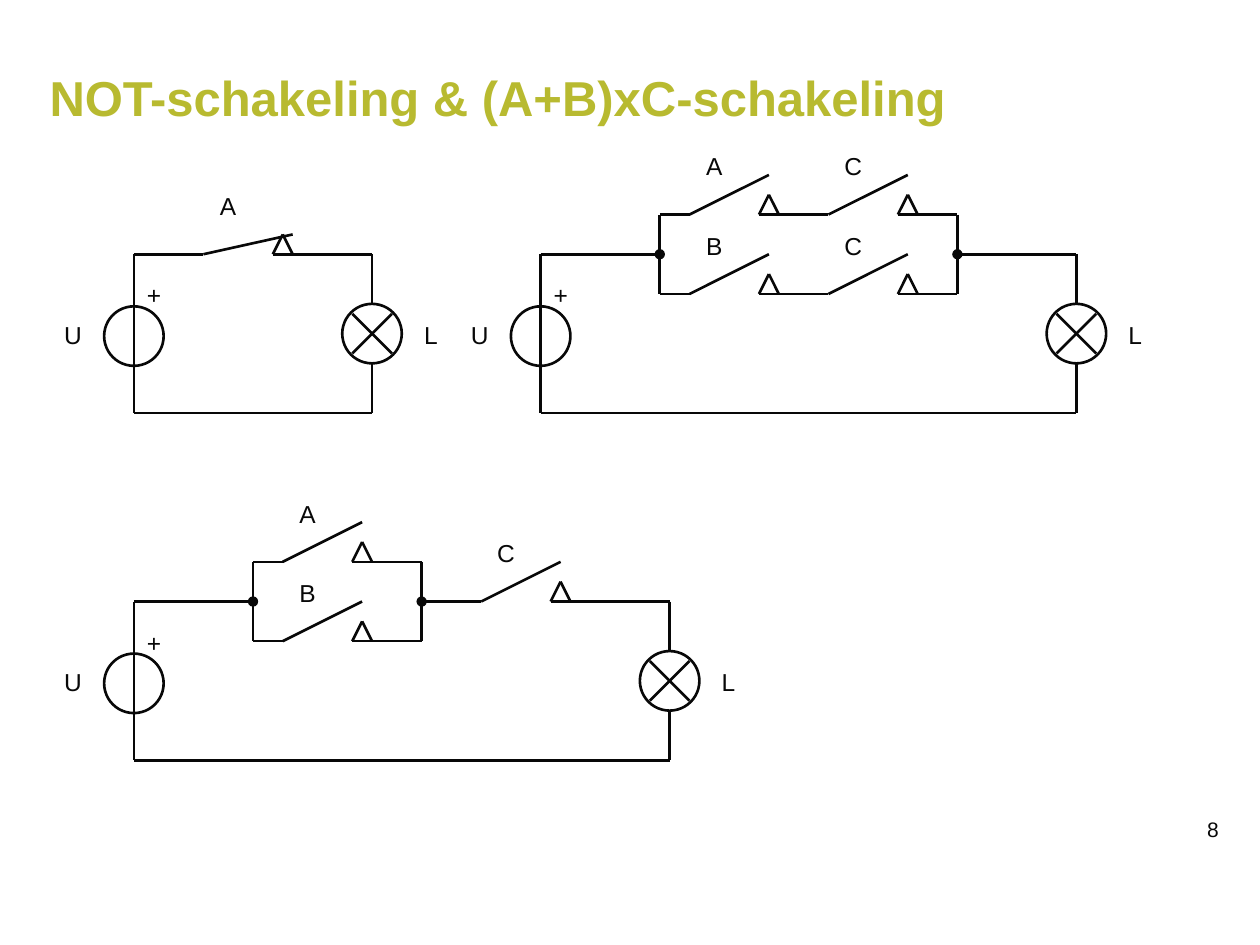
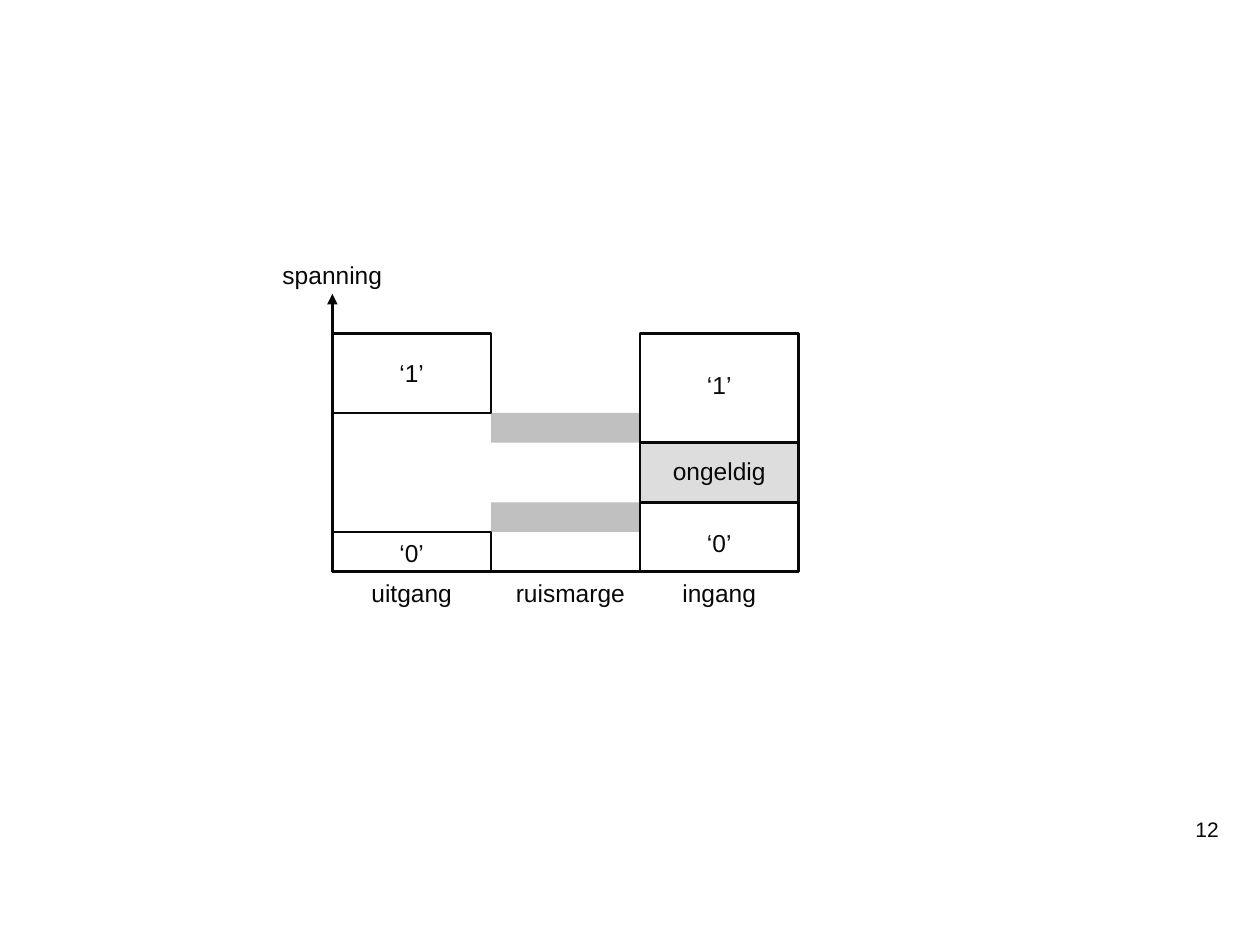
from lxml import etree
from pptx import Presentation
from pptx.dml.color import RGBColor
from pptx.enum.shapes import MSO_CONNECTOR, MSO_SHAPE
from pptx.enum.text import MSO_ANCHOR, PP_ALIGN
from pptx.oxml.ns import qn
from pptx.util import Inches, Pt

LINE = MSO_CONNECTOR.STRAIGHT
RECT, OVAL = MSO_SHAPE.RECTANGLE, MSO_SHAPE.OVAL
TOP, MID = MSO_ANCHOR.TOP, MSO_ANCHOR.MIDDLE
LEFT, CENTER, RIGHT = PP_ALIGN.LEFT, PP_ALIGN.CENTER, PP_ALIGN.RIGHT

WIDE, HIGH, COLS = 10, 7.5, 127
UNIT = WIDE / COLS
INK, LIME, GRAY, PALE = "080808", "B8BA30", "C0C0C0", "DDDDDD"
FONT, STROKE, TEXT_H = "Arial", 1.5, 4.3

TITLE = "NOT-schakeling & (A+B)xC-schakeling"
DEPTH = 16
FORK = [(12, -4, 12, 4), (12, -4, 15, -4), (12, 4, 15, 4)]

# switches: label, column, row, column where the wire after it ends, closed
CIRCUITS = [
    dict(at=(13.5, 25.63), width=24, wires=[(0, 0, 7, 0)], dots=[],
         switches=[("A", 7, 0, 24, True)]),
    dict(at=(13.5, 60.63), width=54, wires=FORK + [(29, -4, 29, 4)],
         dots=[(0, 12), (35, 29)],
         switches=[("A", 15, -4, 29, False), ("B", 15, 4, 29, False),
                   ("C", 35, 0, 54, False)]),
    dict(at=(54.5, 25.63), width=54, wires=FORK + [(42, -4, 42, 4)],
         dots=[(0, 12), (54, 42)],
         switches=[("A", 15, -4, 29, False), ("B", 15, 4, 29, False),
                   ("C", 29, -4, 42, False), ("C", 29, 4, 42, False)]),
]

LEVELS = (33.5, 33.63)
BASE = 24
OUT, GAP, IN, BAR = 0, 16, 31, 16
NOISE = [(8, 11), (17, 20)]
BANDS = [
    ("‘0’", OUT, 20, 24, 20, None),
    ("‘1’", OUT, 0, 8, 1.85, None),
    ("‘0’", IN, 17, 24, 19, None),
    ("‘1’", IN, 0, 11, 3, None),
    ("ongeldig", IN, 11, 17, 11.75, PALE),
]
NAMES = [("uitgang", OUT, BASE), ("ruismarge", GAP, BASE),
         ("ingang", IN, BASE), ("spanning", -8, -8)]


def color(code):
    return RGBColor.from_string(code)


def grid(*vals):
    return [Inches(val * UNIT) for val in vals]


def write(slide, text, x, y, w, h=TEXT_H, size=14, ink=INK, bold=False,
          align=CENTER, anchor=TOP, pad=(0.1, 0.05)):
    frame = slide.shapes.add_textbox(*grid(x, y, w, h)).text_frame
    frame.word_wrap = True
    frame.vertical_anchor = anchor
    frame.margin_left = frame.margin_right = Inches(pad[0])
    frame.margin_top = frame.margin_bottom = Inches(pad[1])
    para = frame.paragraphs[0]
    para.alignment = align
    run = para.add_run()
    run.text = text
    run.font.name, run.font.size, run.font.bold = FONT, Pt(size), bold
    run.font.color.rgb = color(ink)


def wire(shapes, x1, y1, x2, y2, end=None):
    link = shapes.add_connector(LINE, *grid(x1, y1, x2, y2))
    link.line.color.rgb = color(INK)
    link.line.width = Pt(STROKE)
    props = link.element.spPr
    if end:
        tip = etree.SubElement(props.find(qn("a:ln")), qn("a:tailEnd"))
        tip.set("type", end)
    etree.SubElement(props, qn("a:effectLst"))


def block(shapes, kind, x, y, w, h, fill=None, edge=INK):
    part = shapes.add_shape(kind, *grid(x, y, w, h))
    part.shadow.inherit = False
    if fill:
        part.fill.solid()
        part.fill.fore_color.rgb = color(fill)
    else:
        part.fill.background()
    if edge:
        part.line.color.rgb = color(edge)
        part.line.width = Pt(STROKE)
    else:
        part.line.fill.background()


def switch(slide, label, x, y, stop, closed):
    tip = (x + 9, y - 2) if closed else (x + 8, y - 4)
    wire(slide.shapes, x, y, *tip)
    for foot in (7, 9):
        wire(slide.shapes, x + foot, y, x + 8, y - 2)
    wire(slide.shapes, x + 7, y, stop, y)
    write(slide, label, x - 3, y - 7, 11)


def lamp(slide, x, y):
    parts = slide.shapes.add_group_shape().shapes
    block(parts, OVAL, x - 3, y - 3, 6, 6)
    for side in (-2, 2):
        wire(parts, x - side, y - 2, x + side, y + 2)
    write(slide, "L", x + 4, y - 2, 5, align=LEFT)


def circuit(slide, at, width, wires, dots, switches):
    x, y = at
    right, low = x + width, y + DEPTH
    for x1, y1, x2, y2 in wires:
        wire(slide.shapes, x + x1, y + y1, x + x2, y + y2)
    for start, dot in dots:
        wire(slide.shapes, x + start, y, x + dot, y, "oval")
    for label, col, row, stop, closed in switches:
        switch(slide, label, x + col, y + row, x + stop, closed)
    for line in [(x, y, x, low), (x, low, right, low),
                 (right, y, right, y + 5), (right, y + 11, right, low)]:
        wire(slide.shapes, *line)
    block(slide.shapes, OVAL, x - 3, y + 5.25, 6, 6)
    write(slide, "U", x - 9, y + 6, 5, align=RIGHT)
    write(slide, "+", x - 1, y + 2, 5, align=RIGHT)
    lamp(slide, right, y + 8)


def levels(slide):
    x, y = LEVELS
    for top, low in NOISE:
        block(slide.shapes, RECT, x + GAP, y + top, IN - GAP, low - top,
              fill=GRAY, edge=None)
    wire(slide.shapes, x, y + BASE, x, y - 4, "triangle")
    wire(slide.shapes, x, y + BASE, x + IN, y + BASE)
    for text, col, top, low, row, fill in BANDS:
        block(slide.shapes, RECT, x + col, y + top, BAR, low - top, fill=fill)
        write(slide, text, x + col, y + row, BAR)
    for text, col, row in NAMES:
        write(slide, text, x + col, y + row, BAR)


def page(deck, number):
    slide = deck.slides.add_slide(deck.slide_layouts[6])
    write(slide, str(number), 94.5, 81.7, 29.6, 6.6, size=12, align=RIGHT)
    return slide


def main():
    deck = Presentation()
    deck.slide_width, deck.slide_height = Inches(WIDE), Inches(HIGH)
    slide = page(deck, 8)
    write(slide, TITLE, 5, 5, 117, 9.5, size=28, ink=LIME, bold=True,
          align=LEFT, anchor=MID, pad=(0, 0))
    for plan in CIRCUITS:
        circuit(slide, **plan)
    levels(page(deck, 12))
    deck.save("out.pptx")


if __name__ == "__main__":
    main()
